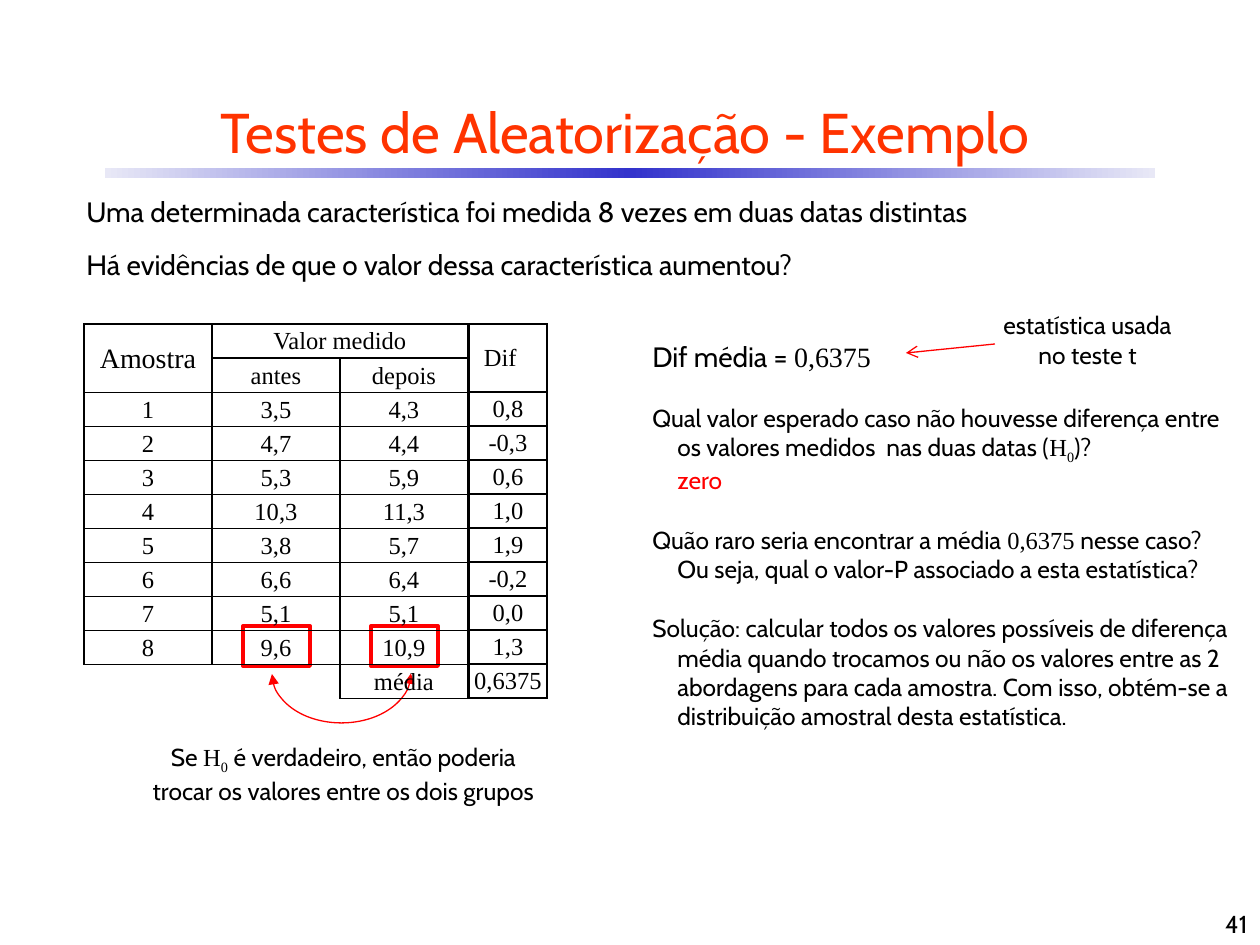
from copy import deepcopy

from lxml import etree
from pptx import Presentation
from pptx import util as u
from pptx.dml.color import RGBColor
from pptx.enum import shapes, text
from pptx.oxml.ns import qn

PX = 914400 // 126

THEME = {
    "sans": "Cabin", "serif": "Times New Roman",
    "ink": RGBColor(0, 0, 0), "red": RGBColor(255, 0, 0),
    "title": RGBColor(0xFF, 0x33, 0x00),
    "bar": ["E8E8F6", "3333CC", "E8E8F6"],
    "title_size": 32, "lead_size": 16, "body_size": 14,
}
LEAD, BODY = THEME["lead_size"], THEME["body_size"]
LEFT, CENTER, RIGHT = text.PP_ALIGN.LEFT, text.PP_ALIGN.CENTER, text.PP_ALIGN.RIGHT
TOP, MIDDLE, BOTTOM = text.MSO_ANCHOR.TOP, text.MSO_ANCHOR.MIDDLE, text.MSO_ANCHOR.BOTTOM


def add_spans(para, spans, size, align=LEFT):
    """Each span is (words, font key, colour key), plus a baseline if lowered."""
    para.alignment = align
    for words, font, colour, *baseline in spans:
        span = para.add_run()
        span.text = words
        span.font.size = u.Pt(size)
        span.font.name = THEME[font]
        span.font.color.rgb = THEME[colour]
        if baseline:
            span.font._element.set("baseline", str(baseline[0]))


def add_grid(left, top, widths, heights, rows):
    """Add a bordered table; None marks a cell without words or own frame."""
    table = page.shapes.add_table(len(rows), len(widths), left * PX, top * PX,
                                  sum(widths) * PX, sum(heights) * PX).table
    table.first_row = table.horz_banding = False
    style = table._tbl.tblPr.find(qn("a:tableStyleId"))
    style.text = "{2D5ABB26-0587-4C30-8999-92F81FD0307C}"  # no style, no grid
    for column, width in zip(table.columns, widths):
        column.width = width * PX
    for row, height in zip(table.rows, heights):
        row.height = height * PX
    for r, row in enumerate(rows):
        for c, words in enumerate(row):
            cell = table.cell(r, c)
            cell.vertical_anchor = MIDDLE
            cell.margin_left = cell.margin_right = cell.margin_top = PX
            cell.margin_bottom = 0
            para = cell.text_frame.paragraphs[0]
            if words:
                size = LEAD if words == "Amostra" else BODY
                add_spans(para, [(words, "serif", "ink")], size, CENTER)
            else:
                etree.SubElement(para._p, qn("a:endParaRPr"), sz=str(BODY * 100))
            sides = "LRTB"
            if words is None:
                sides = "RT" if row[c + 1] else "T"
            for side in sides:
                line = etree.SubElement(cell._tc.get_or_add_tcPr(),
                                        qn(f"a:ln{side}"), w=str(u.Pt(1)))
                paint = etree.SubElement(line, qn("a:solidFill"))
                etree.SubElement(paint, qn("a:srgbClr"), val=str(THEME["ink"]))
            cell.fill.background()
    return table


deck = Presentation()
deck.slide_width, deck.slide_height = u.Inches(10), u.Inches(7.5)
page = deck.slides.add_slide(deck.slide_layouts[6])

# Gradient bar under the title
bar = page.shapes.add_shape(shapes.MSO_SHAPE.RECTANGLE,
                            105 * PX, 168 * PX, 1050 * PX, 10 * PX)
bar.shadow.inherit = False
bar.line.fill.background()
bar.fill.gradient()
bar.fill.gradient_angle = 0
stop_list = bar.element.spPr.find(qn("a:gradFill")).find(qn("a:gsLst"))
stop_list.insert(1, deepcopy(stop_list[0]))
for i, (stop, colour) in enumerate(zip(bar.fill.gradient_stops, THEME["bar"])):
    stop.position = i / 2
    stop.color.rgb = RGBColor.from_string(colour)

# Text boxes: place, anchor, alignment, size, paragraphs of spans
text_boxes = [
    (42, 84, 1166, 94, MIDDLE, CENTER, THEME["title_size"],
     [[("Testes de Aleatorização - Exemplo", "sans", "title")]]),
    (74, 188, 1142, 47, TOP, LEFT, LEAD,
     [[("Uma determinada característica foi medida 8 vezes em duas datas distintas",
        "sans", "ink")]]),
    (74, 241, 1132, 47, TOP, LEFT, LEAD,
     [[("Há evidências de que o valor dessa característica aumentou?", "sans", "ink")]]),
    (984, 304, 207, 72, TOP, CENTER, BODY,
     [[("estatística usada", "sans", "ink")], [("no teste t", "sans", "ink")]]),
    (140, 736, 407, 102, TOP, CENTER, BODY,
     [[("Se ", "sans", "ink"), ("H", "serif", "ink"), ("0", "serif", "ink", -25000),
       (" é verdadeiro, então poderia trocar os valores entre os dois grupos",
        "sans", "ink")]]),
    (998, 882, 262, 63, BOTTOM, RIGHT, BODY, [[("41", "sans", "ink")]]),
]
for left, top, width, height, anchor, align, size, paragraphs in text_boxes:
    box = page.shapes.add_textbox(left * PX, top * PX, width * PX, height * PX)
    frame = box.text_frame
    frame.word_wrap = True
    frame.vertical_anchor = anchor
    for i, spans in enumerate(paragraphs):
        para = frame.add_paragraph() if i else frame.paragraphs[0]
        add_spans(para, spans, size, align)

# Reasoning on the right: size, space before, first-line indent, spans
reasoning = [
    (LEAD, 0, -25, [("Dif média = ", "sans", "ink"), ("0,6375", "serif", "ink")]),
    (BODY, 17, -25, [
        ("Qual valor esperado caso não houvesse diferença entre os valores medidos"
         "  nas duas datas (", "sans", "ink"),
        ("H", "serif", "ink"), ("0", "serif", "ink", -25000), (")?", "sans", "ink")]),
    (BODY, 0, 0, [("zero", "sans", "red")]),
    (BODY, 17, -25, [
        ("Quão raro seria encontrar a média ", "sans", "ink"), ("0,6375", "serif", "ink"),
        (" nesse caso? Ou seja, qual o valor-P associado a esta estatística?",
         "sans", "ink")]),
    (BODY, 17, -25, [
        ("Solução: calcular todos os valores possíveis de diferença média quando "
         "trocamos ou não os valores entre as 2 abordagens para cada amostra. Com "
         "isso, obtém-se a distribuição amostral desta estatística.", "sans", "ink")]),
]
box = page.shapes.add_textbox(640 * PX, 333 * PX, 605 * PX, 462 * PX)
frame = box.text_frame
frame.word_wrap = True
for i, (size, before, indent, spans) in enumerate(reasoning):
    para = frame.add_paragraph() if i else frame.paragraphs[0]
    para.space_before = u.Pt(before)
    add_spans(para, spans, size)
    properties = para._p.get_or_add_pPr()
    properties.set("marL", str(25 * PX))
    properties.set("indent", str(indent * PX))

# Arrow from the note to the mean difference
arrow = page.shapes.add_connector(shapes.MSO_CONNECTOR.STRAIGHT,
                                  995 * PX, 344 * PX, 906 * PX, 353 * PX)
etree.SubElement(arrow.element.spPr, qn("a:effectLst"))

# Frames around the swapped values and the arc that joins them
swap_marks = []
for left in (243, 371):
    mark = page.shapes.add_shape(shapes.MSO_SHAPE.RECTANGLE,
                                 left * PX, 626 * PX, 67 * PX, 40 * PX)
    swap_marks.append((mark, 2.25))
arc = page.shapes.add_shape(shapes.MSO_SHAPE.ARC,
                            272 * PX, 624 * PX, 139 * PX, 99 * PX)
arc.adjustments[0], arc.adjustments[1] = 108.287, 0
arc.element.spPr.get_or_add_xfrm().set("flipV", "1")
for mark, weight in swap_marks + [(arc, 0.75)]:
    mark.shadow.inherit = False
    mark.fill.background()
    mark.line.width = u.Pt(weight)
    mark.line.color.rgb = THEME["red"]
arrow.line.width = u.Pt(0.75)
arrow.line.color.rgb = THEME["red"]
for shape, end, kind in ((arrow, "tailEnd", "arrow"), (arc, "headEnd", "triangle"),
                         (arc, "tailEnd", "triangle")):
    etree.SubElement(shape.line._get_or_add_ln(), qn(f"a:{end}"), type=kind)

# Measurements and their differences
before_values = ["3,5", "4,7", "5,3", "10,3", "3,8", "6,6", "5,1", "9,6"]
after_values = ["4,3", "4,4", "5,9", "11,3", "5,7", "6,4", "5,1", "10,9"]
differences = ["0,8", "-0,3", "0,6", "1,0", "1,9", "-0,2", "0,0", "1,3", "0,6375"]
samples = [[str(n), *pair] for n, pair in enumerate(zip(before_values, after_values), 1)]
measures = add_grid(84, 324, [128] * 3, [34] * 11,
                    [["Amostra", "Valor medido", ""], ["", "antes", "depois"],
                     *samples, [None, None, "média"]])
measures.cell(0, 0).merge(measures.cell(1, 0))
measures.cell(0, 1).merge(measures.cell(0, 2))
contrast = add_grid(469, 324, [78], [68] + [34] * 9,
                    [["Dif"]] + [[value] for value in differences])
heading = contrast.cell(0, 0)
heading.margin_left = 15 * PX
heading.text_frame.paragraphs[0].alignment = LEFT

deck.save("out.pptx")
